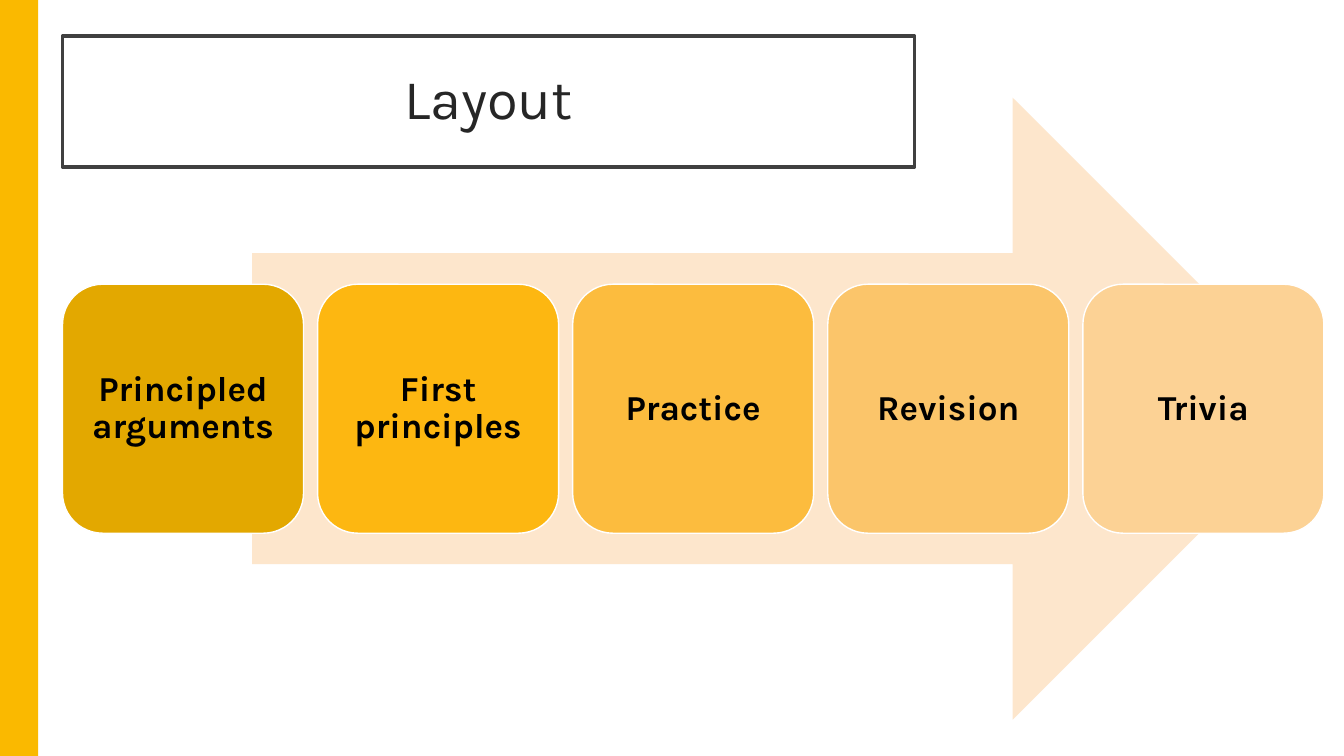
from pptx import Presentation
from pptx.dml.color import RGBColor
from pptx.enum.shapes import MSO_SHAPE
from pptx.enum.text import MSO_ANCHOR, PP_ALIGN
from pptx.util import Inches, Pt

COLORS = {
    "accent": "FAB900",
    "white": "FFFFFF",
    "frame": "404040",
    "title": "262626",
    "arrow": "FDE6CC",
    "label": "000000",
    "step 1": "E3A800",
    "step 2": "FDB711",
    "step 3": "FCBC3E",
    "step 4": "FBC56A",
    "step 5": "FCD295",
}

STEPS = ["Principled arguments", "First principles", "Practice", "Revision", "Trivia"]
STEP_LEFT, STEP_TOP = 0.62, 2.82
STEP_WIDTH, STEP_HEIGHT = 2.39, 2.47
STEP_PITCH = 2.53


class SlideBuilder:
    """Holds the style and the slide being built."""

    def __init__(self, slide, font="Karla", colors=COLORS):
        self.slide = slide
        self.font = font
        self.colors = colors

    def color(self, name):
        return RGBColor.from_string(self.colors[name])

    def block(self, kind, left, top, width, height, fill, line=None, line_width=1):
        shape = self.slide.shapes.add_shape(
            kind, Inches(left), Inches(top), Inches(width), Inches(height))
        shape.shadow.inherit = False
        shape.fill.solid()
        shape.fill.fore_color.rgb = self.color(fill)
        if line:
            shape.line.color.rgb = self.color(line)
            shape.line.width = Pt(line_width)
        else:
            shape.line.fill.background()
        return shape

    def label(self, shape, text, size, color, inset, bold=False):
        frame = shape.text_frame
        frame.word_wrap = True
        frame.vertical_anchor = MSO_ANCHOR.MIDDLE
        frame.margin_left = frame.margin_right = Inches(inset)
        frame.margin_top = frame.margin_bottom = Inches(inset)
        paragraph = frame.paragraphs[0]
        paragraph.alignment = PP_ALIGN.CENTER
        paragraph.line_spacing = 0.9
        run = paragraph.add_run()
        run.text = text
        run.font.name = self.font
        run.font.size = Pt(size)
        run.font.bold = bold
        run.font.color.rgb = self.color(color)


def main():
    presentation = Presentation()
    presentation.slide_width = Inches(13.33)
    presentation.slide_height = Inches(7.5)
    slide = presentation.slides.add_slide(presentation.slide_layouts[6])
    builder = SlideBuilder(slide)

    # Side band
    builder.block(MSO_SHAPE.RECTANGLE, -0.02, 0, 0.4, 7.52, "accent")

    # Framed title
    title = builder.block(MSO_SHAPE.RECTANGLE, 0.62, 0.36, 8.45, 1.3,
                          "white", "frame", 2.5)
    builder.label(title, "Layout", 40, "title", 0.2)

    # Arrow behind the steps
    builder.block(MSO_SHAPE.RIGHT_ARROW, 2.5, 0.97, 10.63, 6.17, "arrow")

    # Steps
    for index, name in enumerate(STEPS):
        step = builder.block(MSO_SHAPE.ROUNDED_RECTANGLE,
                             STEP_LEFT + index * STEP_PITCH, STEP_TOP,
                             STEP_WIDTH, STEP_HEIGHT, f"step {index + 1}", "white")
        builder.label(step, name, 25, "label", 0.1, bold=True)

    presentation.save("out.pptx")


if __name__ == "__main__":
    main()
